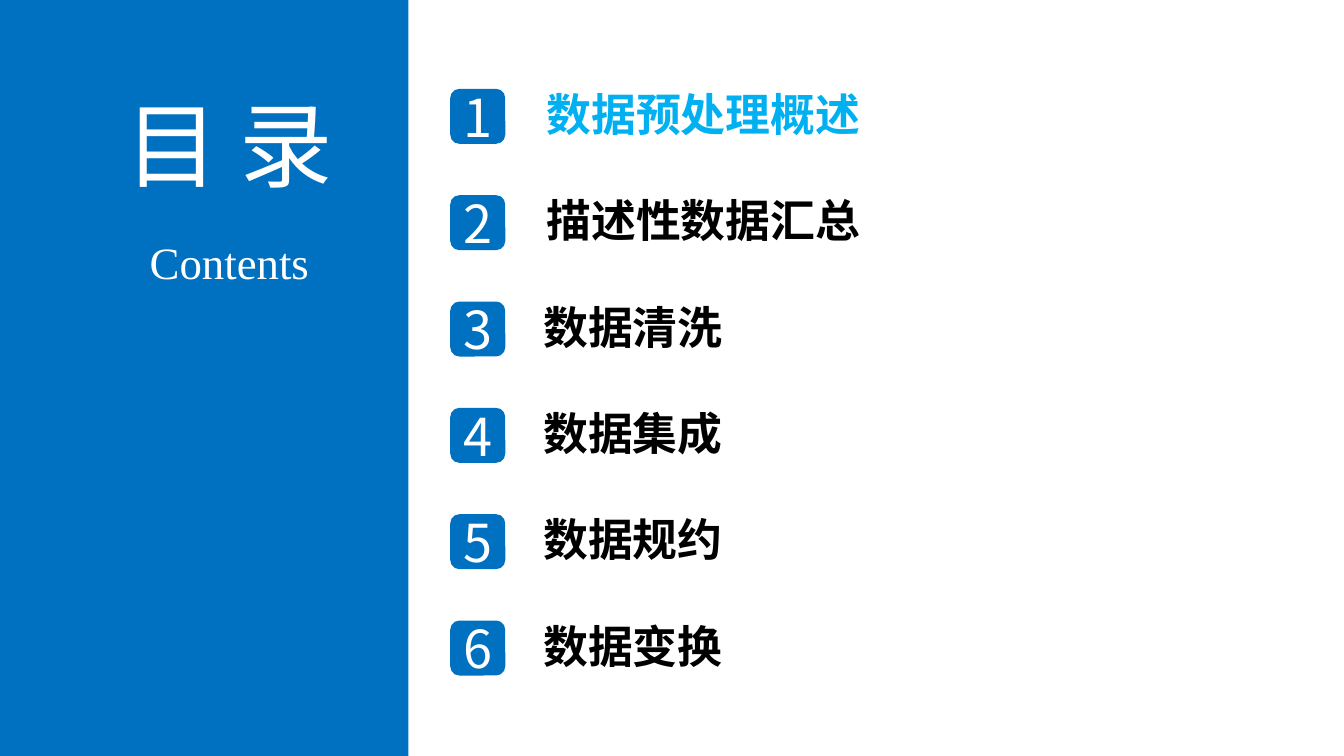
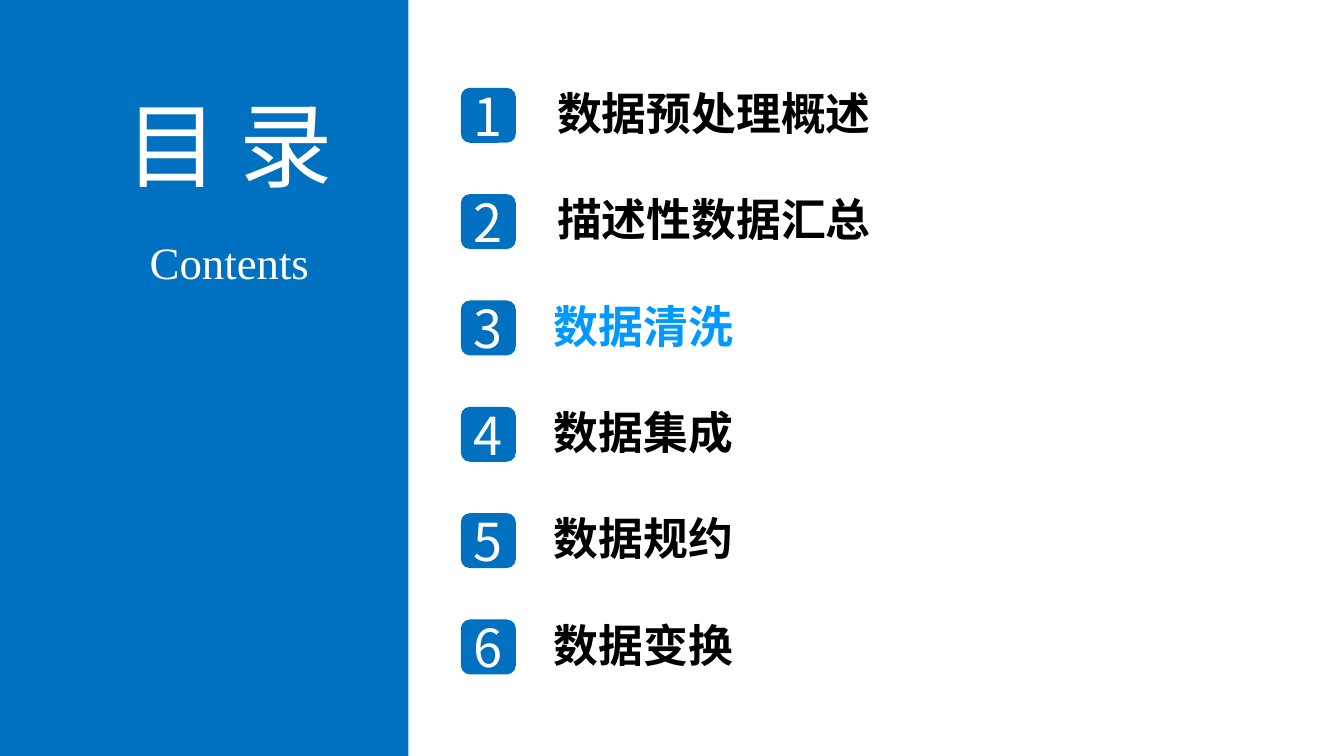
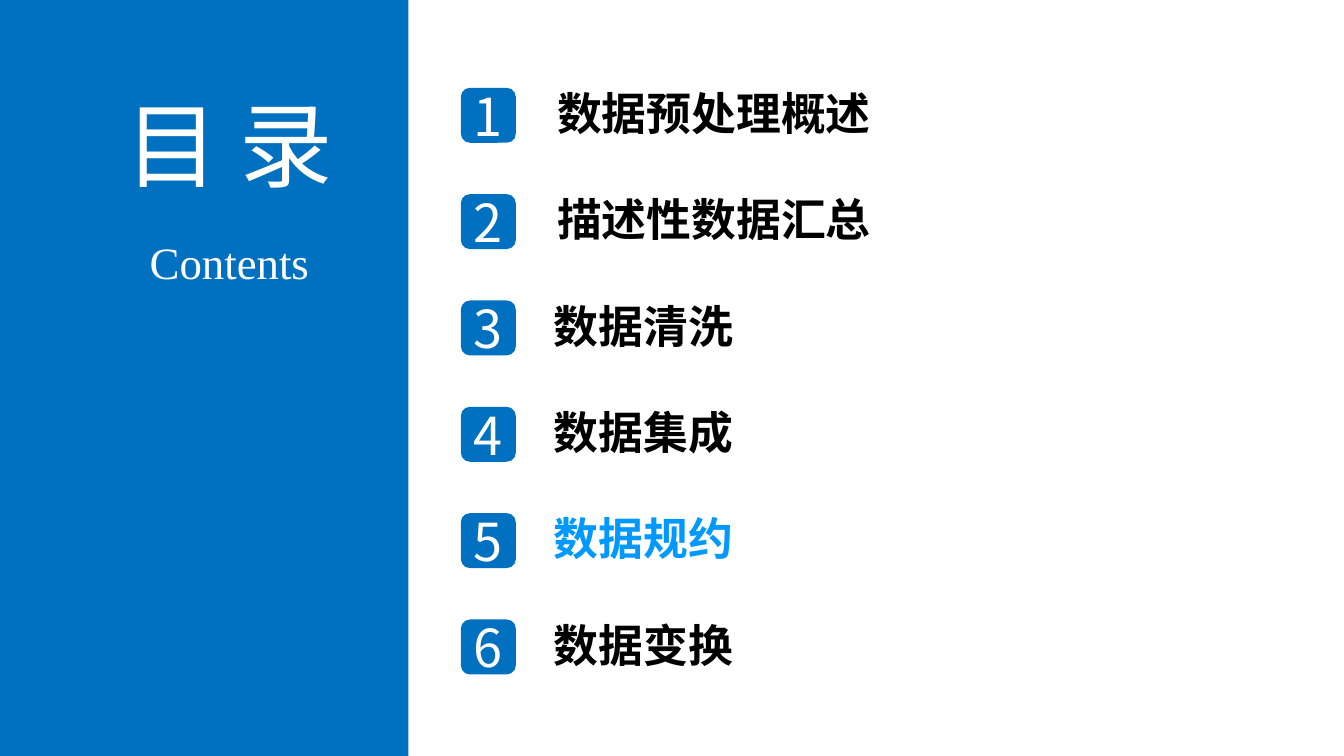
"""Build three contents slides, each with one chapter marked."""
from lxml.etree import SubElement
from pptx import Presentation
from pptx.dml.color import RGBColor
from pptx.enum.shapes import MSO_SHAPE
from pptx.enum.text import MSO_ANCHOR, MSO_AUTO_SIZE, PP_ALIGN
from pptx.oxml.ns import qn
from pptx.util import Cm, Pt

BLUE = RGBColor(0x00, 0x70, 0xC0)
SKY = RGBColor(0x00, 0xB0, 0xF0)
AZURE = RGBColor(0x00, 0x99, 0xFF)
WHITE = RGBColor(0xFF, 0xFF, 0xFF)
BLACK = RGBColor(0x00, 0x00, 0x00)
SANS = "Noto Sans CJK SC"
SERIF = "Times New Roman"
TOPICS = ["数据预处理概述", "描述性数据汇总", "数据清洗", "数据集成", "数据规约", "数据变换"]
PITCH = 2.01


def write(shape, text, size=24, font=SANS, color=WHITE, bold=False,
          align=PP_ALIGN.CENTER, anchor=MSO_ANCHOR.TOP, wrap=False,
          fit=MSO_AUTO_SIZE.SHAPE_TO_FIT_TEXT):
    frame = shape.text_frame
    frame.margin_left = frame.margin_right = Cm(0.19)
    frame.margin_top = frame.margin_bottom = Cm(0.1)
    frame.word_wrap = wrap
    frame.auto_size = fit
    frame.vertical_anchor = anchor
    para = frame.paragraphs[0]
    para.alignment = align
    run = para.add_run()
    run.text = text
    run.font.size = Pt(size)
    run.font.bold = bold
    run.font.color.rgb = color
    run.font.name = font
    SubElement(run.font._element, qn("a:ea"), typeface=font)


class Deck:
    def __init__(self):
        self.prs = Presentation()
        self.prs.slide_width = Cm(25.4)
        self.prs.slide_height = Cm(14.29)
        self.slide = None

    def start(self):
        self.slide = self.prs.slides.add_slide(self.prs.slide_layouts[5])

    def block(self, shapes, kind, left, top, width, height):
        shape = shapes.add_shape(kind, Cm(left), Cm(top), Cm(width), Cm(height))
        shape.shadow.inherit = False
        shape.fill.solid()
        shape.fill.fore_color.rgb = BLUE
        shape.line.fill.background()
        return shape

    def label(self, shapes, text, left, top, width, height, **style):
        box = shapes.add_textbox(Cm(left), Cm(top), Cm(width), Cm(height))
        write(box, text, **style)

    def panel(self):
        shapes = self.slide.shapes
        band = self.block(shapes, MSO_SHAPE.RECTANGLE, -0.03, 0, 7.75, 14.29)
        title = shapes.title
        title.element.addprevious(band.element)
        title.left, title.top = Cm(1.93), Cm(1.55)
        title.width, title.height = Cm(4.8), Cm(2.31)
        write(title, "目 录", size=50)
        self.label(shapes, "Contents", 2.62, 4.34, 3.43, 1.22, font=SERIF)

    def topic(self, num, text, left, top, color):
        shapes = self.slide.shapes.add_group_shape().shapes
        badge = self.block(shapes, MSO_SHAPE.ROUNDED_RECTANGLE, left, top, 1.04, 1.04)
        write(badge, str(num), size=28, anchor=MSO_ANCHOR.MIDDLE, wrap=True,
              fit=MSO_AUTO_SIZE.NONE)
        gap, width = (1.63, 6.38) if len(text) > 4 else (1.57, 3.81)
        self.label(shapes, text, left + gap, top - 0.14, width, 1.22,
                   color=color, bold=True, align=PP_ALIGN.LEFT)

    def agenda(self, active, left, top, mark):
        self.start()
        self.panel()
        for num, text in enumerate(TOPICS, 1):
            color = mark if num == active else BLACK
            self.topic(num, text, left, top + (num - 1) * PITCH, color)


def main():
    deck = Deck()
    deck.agenda(1, 8.51, 1.68, SKY)
    for active in (3, 5):
        deck.agenda(active, 8.71, 1.66, AZURE)
    deck.prs.save("out.pptx")


if __name__ == "__main__":
    main()
